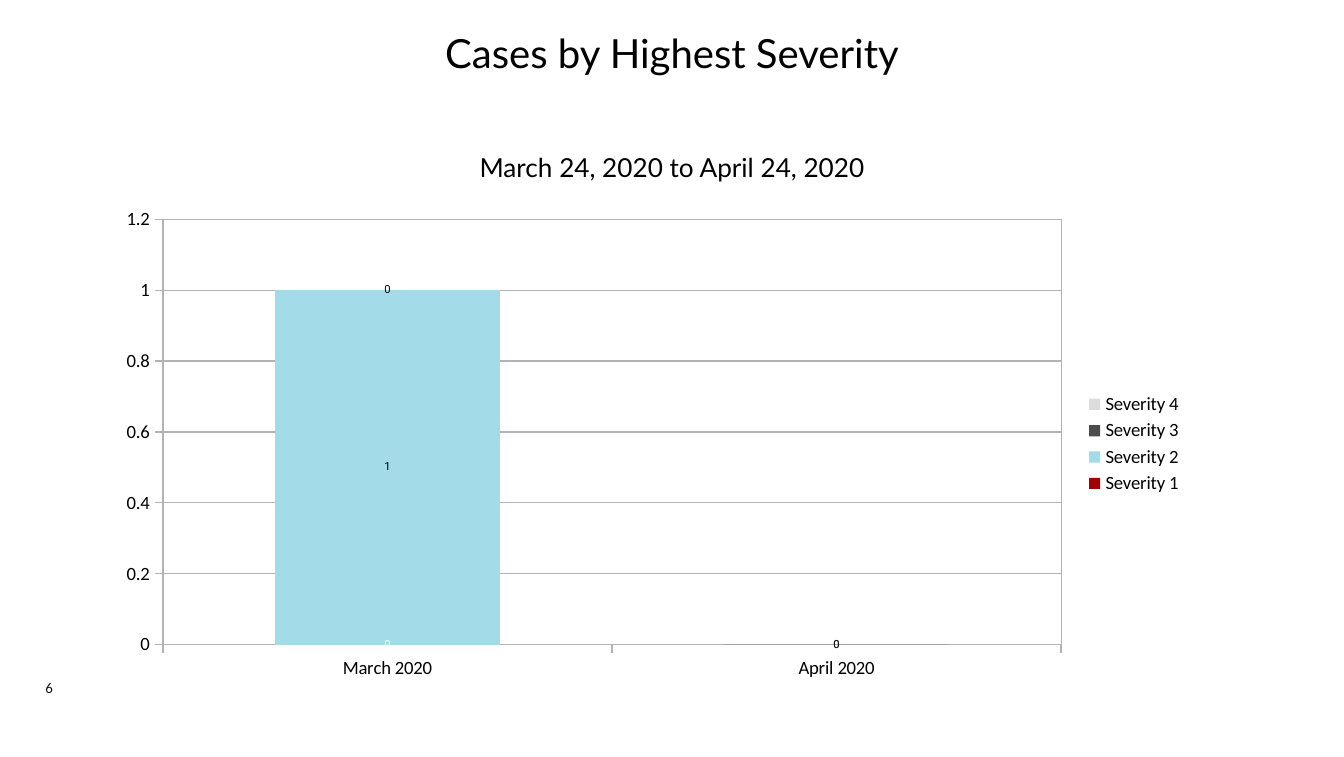
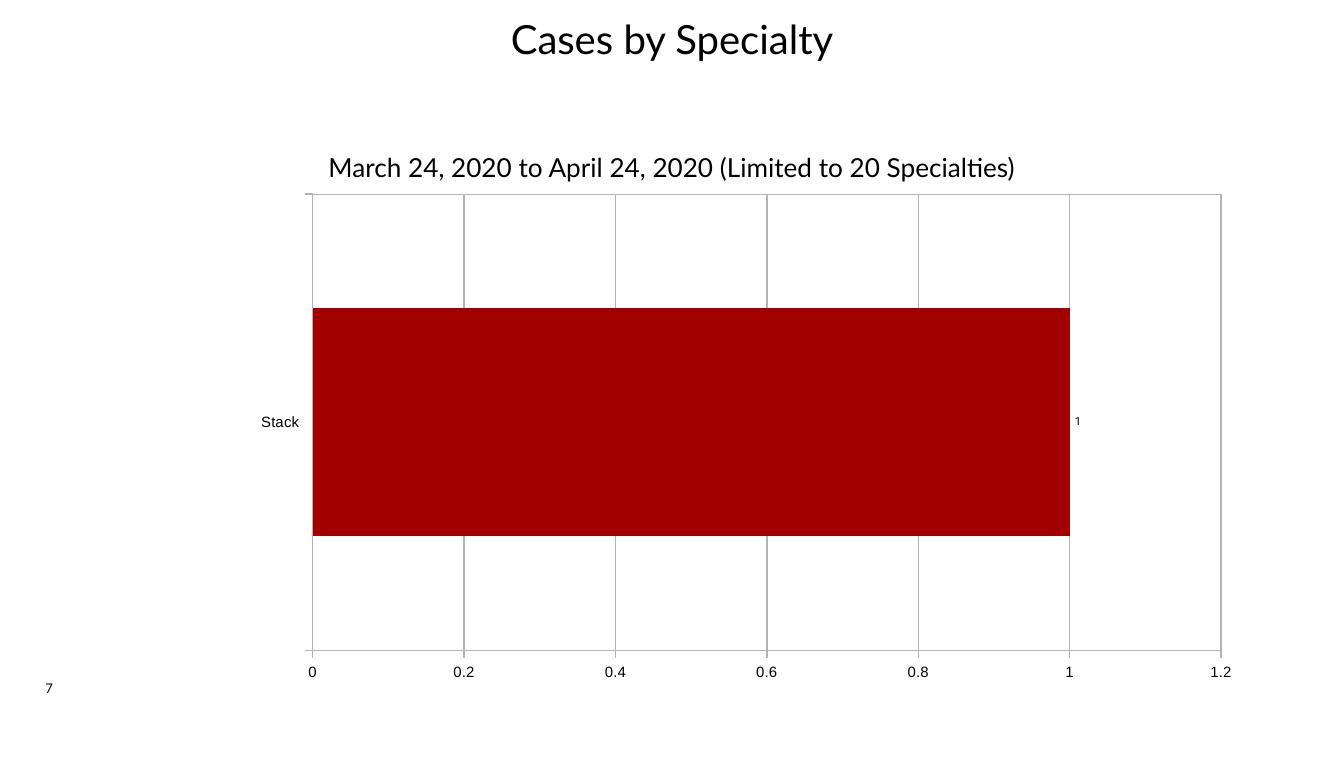
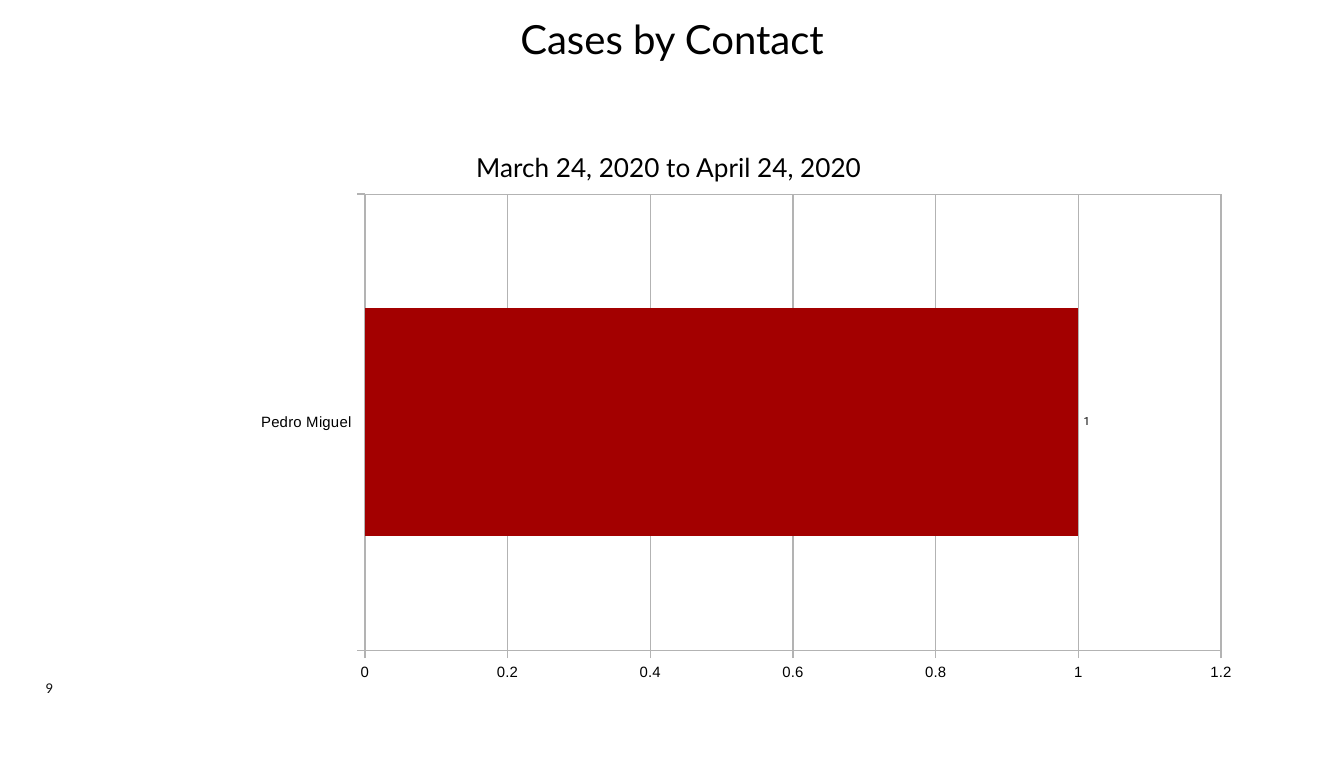
from lxml.etree import SubElement
from pptx import Presentation
from pptx.chart.data import CategoryChartData
from pptx.dml.color import RGBColor
from pptx.enum.chart import XL_CHART_TYPE, XL_LABEL_POSITION, XL_LEGEND_POSITION, XL_TICK_MARK
from pptx.enum.text import MSO_ANCHOR, PP_ALIGN
from pptx.oxml import parse_xml
from pptx.oxml.ns import nsdecls, qn
from pptx.util import Cm, Pt

BLACK = "000000"
WHITE = "FFFFFF"
NUMBER_GREY = "141414"
LINE_GREY = "B3B3B3"
RED = "A30000"
LIGHT_BLUE = "A3DBE8"
DARK_GREY = "4C4C4C"
PALE_GREY = "DCDCDC"

MARGIN = 1.91
CONTENT_WIDTH = 21.59
PERIOD = "March 24, 2020 to April 24, 2020"


def color(hex_string):
    """Turn a hex string into a colour."""
    return RGBColor.from_string(hex_string)


def set_font(font, name, size, hex_string=BLACK):
    """Set typeface, size and colour of a font."""
    font.name = name
    font.size = Pt(size)
    font.color.rgb = color(hex_string)


def set_line(line):
    """Draw a hairline in the grey of the chart frame."""
    line.color.rgb = color(LINE_GREY)
    line.width = Pt(0)


def add_text(slide, text, box, name, size, anchor, hex_string=BLACK):
    """Add a centred text box without insets; box is in centimetres."""
    shape = slide.shapes.add_textbox(*map(Cm, box))
    frame = shape.text_frame
    frame.word_wrap = True
    frame.vertical_anchor = anchor
    frame.margin_left = frame.margin_right = frame.margin_top = frame.margin_bottom = 0
    paragraph = frame.paragraphs[0]
    paragraph.alignment = PP_ALIGN.CENTER
    run = paragraph.add_run()
    run.text = text
    set_font(run.font, name, size, hex_string)


def add_report_slide(presentation, title, title_top, period, number):
    """Add a slide with title, period line and page number."""
    slide = presentation.slides.add_slide(presentation.slide_layouts[6])
    add_text(slide, title, (MARGIN, title_top, CONTENT_WIDTH, 0.91), "Lato", 21.5, MSO_ANCHOR.TOP)
    add_text(slide, period, (MARGIN, 2.44, CONTENT_WIDTH, 1.45), "Lato", 14, MSO_ANCHOR.MIDDLE)
    add_text(slide, str(number), (0.08, 12.78, 1.7, 0.38), "Calibri", 8, MSO_ANCHOR.BOTTOM, NUMBER_GREY)
    return slide


def outline_plot(chart):
    """Draw a hairline around the plot area."""
    chart.plots[0]._element.getparent().append(parse_xml(
        f'<c:spPr {nsdecls("c", "a")}><a:noFill/><a:ln w="0"><a:solidFill>'
        f'<a:srgbClr val="{LINE_GREY}"/></a:solidFill></a:ln></c:spPr>'))


def place_plot(chart, plot):
    """Place the plot area, labels included, by fractions of the chart."""
    area = chart.plots[0]._element.getparent()
    for layout in area.findall(qn("c:layout")):
        area.remove(layout)
    layout = parse_xml(f"<c:layout {nsdecls('c')}><c:manualLayout/></c:layout>")
    settings = [("layoutTarget", "outer"), ("xMode", "edge"), ("yMode", "edge"), *zip("xywh", plot)]
    for tag, value in settings:
        SubElement(layout[0], qn(f"c:{tag}")).set("val", str(value))
    area.insert(0, layout)


def style_axes(chart, name, size):
    """Style both axes and the value gridlines."""
    for axis in (chart.category_axis, chart.value_axis):
        set_font(axis.tick_labels.font, name, size)
        set_line(axis.format.line)
        axis.major_tick_mark = XL_TICK_MARK.OUTSIDE
        axis.minor_tick_mark = XL_TICK_MARK.NONE
    axis = chart.value_axis
    axis.minimum_scale, axis.maximum_scale, axis.major_unit = 0, 1.2, 0.2
    axis.has_major_gridlines = True
    set_line(axis.major_gridlines.format.line)


def add_case_chart(slide, kind, box, categories, rows, axis_font):
    """Add a bar chart; each row is name, values, fill, label colour and label position."""
    data = CategoryChartData()
    data.categories = categories
    for name, values, *_ in rows:
        data.add_series(name, values)
    chart = slide.shapes.add_chart(kind, *map(Cm, box), data).chart
    set_font(chart.font, "Arial", 10)
    chart.has_title = False
    chart.has_legend = False
    bars = chart.plots[0]
    bars.gap_width = 100
    bars.vary_by_categories = False
    for series, (_, _, fill, label_color, position) in zip(bars.series, rows):
        series.format.fill.solid()
        series.format.fill.fore_color.rgb = color(fill)
        labels = series.data_labels
        labels.show_value = True
        set_font(labels.font, "Roboto", 6, label_color)
        labels.position = position
    style_axes(chart, *axis_font)
    outline_plot(chart)
    return chart


def add_severity_slide(presentation):
    """Add the stacked columns by severity."""
    slide = add_report_slide(presentation, "Cases by Highest Severity", 0.53, PERIOD, 6)
    center = XL_LABEL_POSITION.CENTER
    rows = [
        ("Severity 1", (0, 0), RED, WHITE, center),
        ("Severity 2", (1, 0), LIGHT_BLUE, BLACK, center),
        ("Severity 3", (0, 0), DARK_GREY, WHITE, center),
        ("Severity 4", (0, 0), PALE_GREY, BLACK, center),
    ]
    chart = add_case_chart(
        slide, XL_CHART_TYPE.COLUMN_STACKED, (1.98, 3.76, 20.62, 9.25),
        ("March 2020", "April 2020"), rows, ("Calibri", 10))
    chart.plots[0].overlap = 100
    chart.has_legend = True
    chart.legend.position = XL_LEGEND_POSITION.RIGHT
    chart.legend.include_in_layout = False
    set_font(chart.legend.font, "Calibri", 10)


def add_count_slide(presentation, title, period, number, category):
    """Add a slide with one horizontal bar."""
    slide = add_report_slide(presentation, title, 0.28, period, number)
    rows = [("Series 1", (1,), RED, BLACK, XL_LABEL_POSITION.OUTSIDE_END)]
    chart = add_case_chart(
        slide, XL_CHART_TYPE.BAR_CLUSTERED, (MARGIN, 3.48, CONTENT_WIDTH, 9.47),
        (category,), rows, ("Arial", 8))
    place_plot(chart, (0.14, 0.02, 0.85, 0.97))


def main():
    """Build and save the case report."""
    presentation = Presentation()
    presentation.slide_width = Cm(25.4)
    presentation.slide_height = Cm(14.3)
    add_severity_slide(presentation)
    add_count_slide(presentation, "Cases by Specialty", f"{PERIOD} (Limited to 20 Specialties)", 7, "Stack")
    add_count_slide(presentation, "Cases by Contact", f"{PERIOD} ", 9, "Pedro Miguel")
    presentation.save("out.pptx")


if __name__ == "__main__":
    main()
